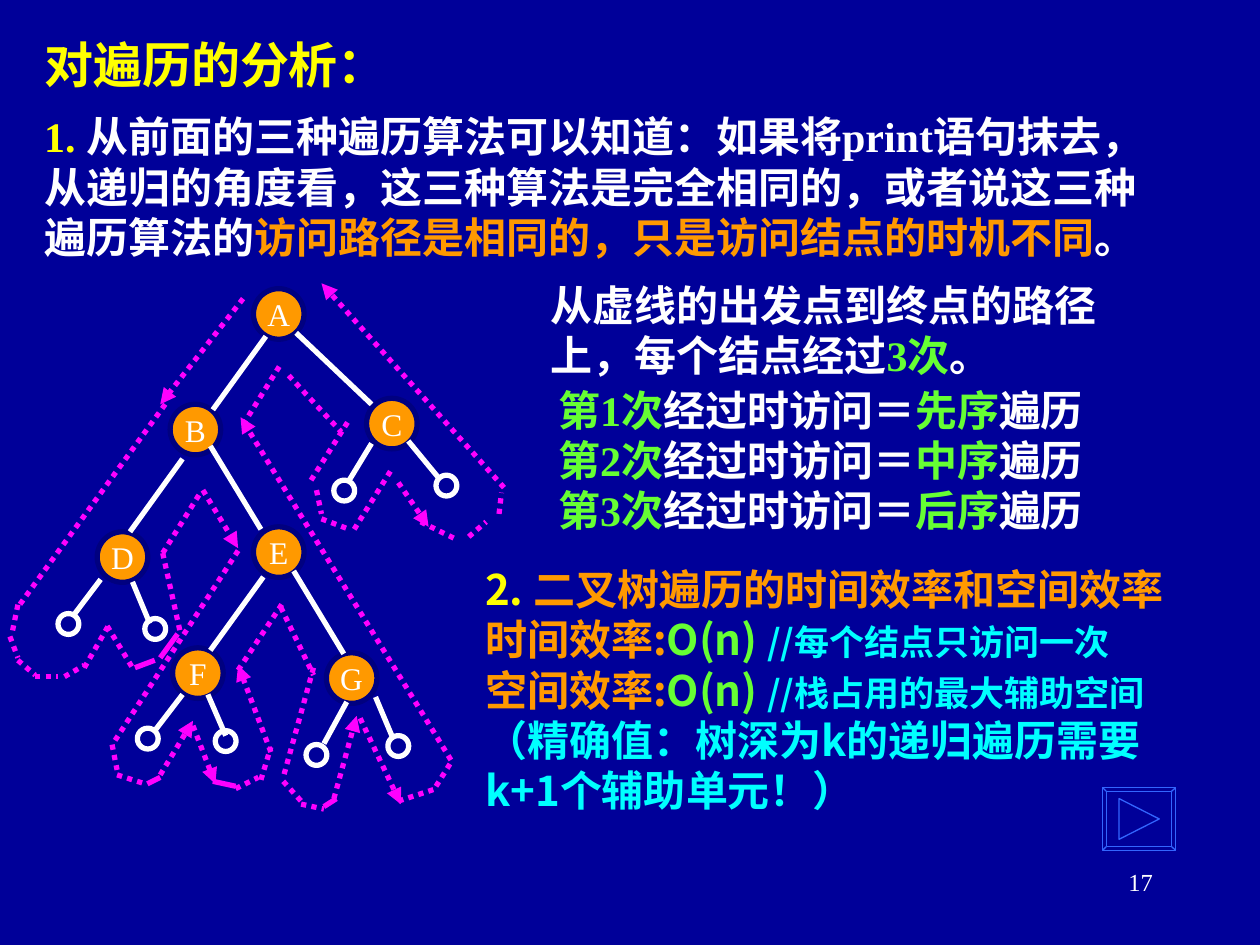
"""Build a slide analysing binary tree traversal paths and their efficiency."""
from lxml.etree import SubElement
from pptx import Presentation
from pptx.dml.color import RGBColor
from pptx.enum.dml import MSO_LINE
from pptx.enum.shapes import MSO_CONNECTOR, MSO_SHAPE
from pptx.enum.text import MSO_ANCHOR, PP_ALIGN
from pptx.oxml.ns import qn
from pptx.util import Cm, Pt

NAVY = RGBColor(0x00, 0x00, 0x99)
OUTLINE = RGBColor(0x00, 0x00, 0x80)
YELLOW = RGBColor(0xFF, 0xFF, 0x00)
WHITE = RGBColor(0xFF, 0xFF, 0xFF)
ORANGE = RGBColor(0xFF, 0x99, 0x00)
GREEN = RGBColor(0x66, 0xFF, 0x33)
CYAN = RGBColor(0x00, 0xFF, 0xFF)
MAGENTA = RGBColor(0xFF, 0x00, 0xFF)
BLUE = RGBColor(0x33, 0x66, 0xFF)
SERIF, SANS = "Times New Roman", "Noto Sans CJK SC"

TITLE = [[("对遍历的分析：", YELLOW, 28)]]
FIRST_POINT = [[
    ("1. ", YELLOW, 24),
    ("从前面的三种遍历算法可以知道：如果将print语句抹去，从递归的角度看，"
     "这三种算法是完全相同的，或者说这三种遍历算法的", WHITE, 24),
    ("访问路径是相同的，只是访问结点的时机不同", ORANGE, 24),
    ("。", WHITE, 24),
]]
PATH_NOTE = [
    [("从虚线的出发点到终点的路径", WHITE, 24)],
    [("上，每个结点经过", WHITE, 24), ("3次", GREEN, 24), ("。", WHITE, 24)],
]
VISITS = [
    [(f"第{number}次", GREEN, 24), ("经过时访问＝", WHITE, 24), (order, GREEN, 24), ("遍历", WHITE, 24)]
    for number, order in enumerate(("先序", "中序", "后序"), 1)
]
EFFICIENCY = [
    [("2. ", YELLOW, 24), ("二叉树遍历的时间效率和空间效率", ORANGE, 24)],
    *([(label, ORANGE, 24), ("O(n) ", GREEN, 24), (remark, CYAN, 20)]
      for label, remark in (("时间效率:", "//每个结点只访问一次"), ("空间效率:", "//栈占用的最大辅助空间"))),
    [("（精确值：树深为k的递归遍历需要k+1个辅助单元！）", CYAN, 24)],
]
TEXT_BOXES = [
    (FIRST_POINT, (0.25, 0.83, 9.17, 1.3), SERIF, True),
    (PATH_NOTE, (4.27, 2.17, 4.53, 0.9), SERIF, False),
    (VISITS, (4.33, 3, 4.67, 1.3), SERIF, True),
    (EFFICIENCY, (3.75, 4.42, 5.92, 2.1), SANS, True),
]

NODES = {"A": (2.01, 2.29), "F": (1.37, 5.14), "E": (2.01, 4.18), "D": (0.77, 4.22),
         "C": (2.91, 3.16), "B": (1.35, 3.21), "G": (2.59, 5.18)}
LEAVES = [(0.46, 4.87), (1.15, 4.91), (1.09, 5.78), (1.71, 5.8),
          (2.43, 5.91), (3.08, 5.84), (3.46, 3.77), (2.65, 3.81)]
BRANCHES = {
    (-0.42, 0.58): [(2.11, 2.67), (1.45, 3.64), (2.09, 4.58)],
    (0.4, 0.66): [(1.67, 3.54), (2.33, 4.53)],
    (0.6, 0.57): [(2.35, 2.64)],
    (-0.22, 0.29): [(0.8, 4.6), (1.45, 5.51)],
    (0.14, 0.33): [(1.05, 4.62), (1.65, 5.51), (2.98, 5.53)],
    (-0.18, 0.29): [(2.95, 3.52)],
    (-0.18, 0.33): [(2.75, 5.57)],
    (0.24, 0.29): [(3.24, 3.5)],
}
SOLID_STEPS = [
    (1.17, 6.22, 1.27, 6.17), (1.69, 6.2, 1.87, 6.24), (2.57, 6.4, 2.67, 6.34),
    (1.07, 5.3, 1.23, 5.24), (1.27, 5.22, 1.41, 5.03),
]
DOTTED_STEPS = [
    (0.08, 5.05, 0.14, 5.22), (0.28, 5.37, 0.46, 5.37), (3.96, 4.08, 3.98, 3.91),
    (1.31, 3.21, 0.14, 4.82), (0.14, 4.8, 0.1, 5.01), (0.14, 5.24, 0.28, 5.36),
    (0.51, 5.37, 0.67, 5.28), (0.67, 5.3, 0.87, 4.95), (0.85, 4.97, 1.05, 5.3),
    (1.29, 4.39, 1.43, 5.01), (1.29, 4.39, 1.59, 3.91), (1.89, 4.37, 0.91, 5.88),
    (0.89, 5.91, 0.93, 6.11), (0.93, 6.15, 1.15, 6.22), (1.87, 6.26, 2.05, 6.17),
    (2.07, 6.19, 2.15, 5.93), (1.89, 5.32, 2.25, 4.78), (2.49, 5.3, 2.25, 6.17),
    (2.25, 6.2, 2.39, 6.36), (2.39, 6.38, 2.57, 6.42), (3.16, 6.36, 3.46, 6.26),
    (3.46, 6.24, 3.58, 6.05), (2.81, 4.2, 3.12, 3.71), (3.34, 4.14, 3.62, 4.28),
    (3.72, 4.26, 3.86, 4.14), (1.93, 3.37, 2.23, 2.89), (2.47, 3.81, 2.77, 3.33),
    (2.51, 3.89, 2.55, 4.08), (2.55, 4.12, 2.77, 4.2),
    (2.23, 4.82, 2.49, 5.36), (2.29, 2.98, 2.71, 3.43),
]
ARROW_STEPS = [
    (1.93, 2.37, 1.27, 3.21), (1.61, 3.89, 1.89, 4.35), (1.27, 6.15, 1.53, 5.72),
    (1.53, 5.76, 1.71, 6.22), (2.15, 5.97, 1.89, 5.28), (2.65, 6.34, 2.83, 5.68),
    (2.86, 5.7, 3.18, 6.38), (3.58, 6.03, 1.91, 3.31), (3.16, 3.83, 3.4, 4.18),
    (4, 3.87, 2.55, 2.25),
]


def lengths(values):
    """Turn inches into Cm lengths."""
    return [Cm(round(value * 2.54, 2)) for value in values]


def write(text_frame, paragraphs, font_name, bold=True, align=PP_ALIGN.LEFT):
    """Fill a text frame with paragraphs of (text, colour, size) runs."""
    for index, runs in enumerate(paragraphs):
        paragraph = text_frame.add_paragraph() if index else text_frame.paragraphs[0]
        paragraph.alignment = align
        paragraph.line_spacing = Pt(1.2 * runs[0][2])
        for text, color, size in runs:
            run = paragraph.add_run()
            run.text = text
            run.font.name, run.font.size, run.font.bold = font_name, Pt(size), bold
            run.font.color.rgb = color
            SubElement(run.font._element, qn("a:ea"), typeface=SANS)


def add_circle(shapes, left, top, size, line_color):
    """Add a circle with a thick outline."""
    circle = shapes.add_shape(MSO_SHAPE.OVAL, *lengths((left, top, size, size)))
    circle.shadow.inherit = False
    circle.fill.background()
    circle.line.color.rgb, circle.line.width = line_color, Pt(3)
    return circle


def add_line(shapes, ends, color, dotted=False, arrow=False):
    """Add a straight line, dotted or arrowed on request."""
    connector = shapes.add_connector(MSO_CONNECTOR.STRAIGHT, *lengths(ends))
    connector.line.color.rgb, connector.line.width = color, Pt(3)
    if dotted:
        connector.line.dash_style = MSO_LINE.ROUND_DOT
    if arrow:
        SubElement(connector.line._get_or_add_ln(), qn("a:tailEnd"), type="triangle")
    SubElement(connector._element.spPr, qn("a:effectLst"))


def add_tree(slide):
    """Draw the tree and the traversal path around it."""
    shapes = slide.shapes.add_group_shape().shapes
    for name, (left, top) in NODES.items():
        node = add_circle(shapes, left, top, 0.4, OUTLINE)
        node.fill.solid()
        node.fill.fore_color.rgb = ORANGE
        node.text_frame.word_wrap = False
        node.text_frame.vertical_anchor = MSO_ANCHOR.MIDDLE
        write(node.text_frame, [[(name, WHITE, 18)]], SERIF, False, PP_ALIGN.CENTER)
    for (across, down), starts in BRANCHES.items():
        for x, y in starts:
            add_line(shapes, (x, y, x + across, y + down), WHITE)
    for left, top in LEAVES:
        add_circle(shapes, left, top, 0.165, WHITE)
    for steps, dotted, arrow in ((SOLID_STEPS, False, False), (DOTTED_STEPS, True, False),
                                 (ARROW_STEPS, True, True)):
        for ends in steps:
            add_line(shapes, ends, MAGENTA, dotted, arrow)


def add_next_button(slide, left, top, width, height, bevel):
    """Outline a bevelled button holding a forward triangle."""
    right, bottom = left + width, top + height
    outer = [(left, top), (right, top), (right, bottom), (left, bottom)]
    inner = [(left + bevel, top + bevel), (right - bevel, top + bevel),
             (right - bevel, bottom - bevel), (left + bevel, bottom - bevel)]
    triangle = [(left + 0.13, top + 0.09), (left + 0.45, top + height / 2), (left + 0.13, bottom - 0.09)]
    contours = [outer, inner, triangle] + [list(pair) for pair in zip(outer, inner)]
    builder = slide.shapes.build_freeform(*lengths(outer[0]))
    for contour in contours:
        points = [lengths(point) for point in contour]
        builder.move_to(*points[0])
        builder.add_line_segments(points[1:], close=len(points) > 2)
    button = builder.convert_to_shape()
    button.shadow.inherit = False
    button.fill.background()
    button.line.color.rgb, button.line.width = BLUE, Pt(0.75)


def main():
    presentation = Presentation()
    presentation.slide_width, presentation.slide_height = Cm(25.4), Cm(19.05)
    slide = presentation.slides.add_slide(presentation.slide_layouts[5])
    slide.background.fill.solid()
    slide.background.fill.fore_color.rgb = NAVY
    title = slide.shapes.title
    title.left, title.top, title.width, title.height = lengths((0.25, 0.17, 8.5, 0.67))
    title.text_frame.vertical_anchor = MSO_ANCHOR.MIDDLE
    write(title.text_frame, TITLE, SERIF)
    add_tree(slide)
    for paragraphs, box, font_name, wrap in TEXT_BOXES:
        text_frame = slide.shapes.add_textbox(*lengths(box)).text_frame
        text_frame.word_wrap = wrap
        write(text_frame, paragraphs, font_name)
    add_next_button(slide, 8.75, 6.25, 0.58, 0.5, 0.03)
    number = slide.shapes.add_textbox(*lengths((7.17, 6.83, 2.08, 0.5))).text_frame
    number.word_wrap = True
    write(number, [[("17", WHITE, 14)]], SERIF, False, PP_ALIGN.RIGHT)
    presentation.save("out.pptx")


if __name__ == "__main__":
    main()
